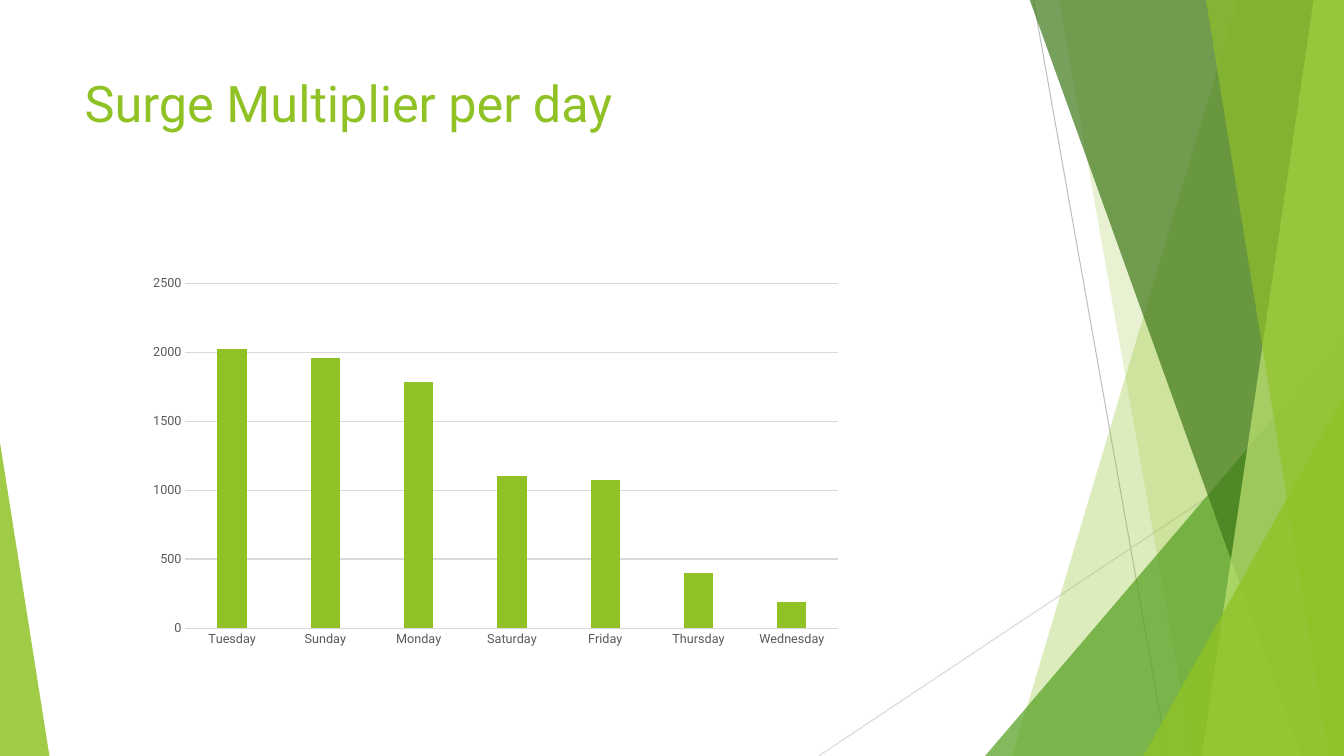
from pptx import Presentation
from pptx.chart.data import CategoryChartData
from pptx.dml.color import RGBColor
from pptx.enum.chart import XL_CHART_TYPE, XL_TICK_MARK
from pptx.enum.shapes import MSO_CONNECTOR, MSO_SHAPE
from pptx.enum.text import MSO_ANCHOR, MSO_AUTO_SIZE, PP_ALIGN
from pptx.oxml import parse_xml
from pptx.oxml.ns import nsdecls, qn
from pptx.util import Inches, Pt
from lxml.etree import SubElement

LIME = RGBColor(0x90, 0xC2, 0x26)
GREEN = RGBColor(0x54, 0xA0, 0x21)
DARK_GREEN = RGBColor(0x3F, 0x78, 0x19)
PALE_LIME = RGBColor(0xC0, 0xE4, 0x74)
GRAY = RGBColor(0xBF, 0xBF, 0xBF)
LIGHT_GRAY = RGBColor(0xD9, 0xD9, 0xD9)
TEXT_GRAY = RGBColor(0x59, 0x59, 0x59)
FONT = "Roboto"
WIDTH, HEIGHT, BAND_TOP = 13.33, 7.5, -0.01

TITLE = "Surge Multiplier per day"
MULTIPLIERS = {
    "Tuesday": 2020, "Sunday": 1960, "Monday": 1780, "Saturday": 1100,
    "Friday": 1070, "Thursday": 400, "Wednesday": 190,
}
PLOT_LAYOUT = {"x": 0.117, "y": 0.106, "w": 0.689, "h": 0.807}
RAYS = [((10.25, 0), (11.58, HEIGHT), GRAY), ((WIDTH, 4.03), (8.12, HEIGHT), LIGHT_GRAY)]
FACETS = [
    ("band", 12.28, 10.04, LIME, 30),
    ("band", 10.5, 11.83, LIME, 20),
    ("triangle", 9.77, 3.33, 3.56, 1, GREEN, 72),
    ("band", 10.21, 12.91, DARK_GREEN, 70),
    ("band", 13.03, 11.92, PALE_LIME, 70),
    ("band", 11.96, 13.18, LIME, 65),
    ("triangle", 11.34, 3.93, 1.99, 1, LIME, 80),
    ("triangle", 0, 4.39, 0.49, 0, LIME, 85),
]


def apply_format(target, values):
    for name, value in values.items():
        setattr(target, name, value)


def add_ray(slide, start, end, color):
    ray = slide.shapes.add_connector(
        MSO_CONNECTOR.STRAIGHT, *[Inches(value) for value in start + end])
    ray.line.color.rgb = color
    ray.line.width = Pt(0.75)
    SubElement(ray._element.spPr, qn("a:effectLst"))


def add_band(slide, top_left, bottom_left):
    builder = slide.shapes.build_freeform(Inches(top_left), Inches(BAND_TOP))
    corners = [(WIDTH, BAND_TOP), (WIDTH, HEIGHT), (bottom_left, HEIGHT)]
    builder.add_line_segments([(Inches(x), Inches(y)) for x, y in corners], close=True)
    return builder.convert_to_shape()


def add_triangle(slide, left, top, width, apex):
    triangle = slide.shapes.add_shape(
        MSO_SHAPE.ISOSCELES_TRIANGLE, Inches(left), Inches(top),
        Inches(width), Inches(HEIGHT - top))
    triangle.adjustments[0] = apex
    return triangle


def add_facet(slide, kind, *details):
    *geometry, color, opacity = details
    add_outline = {"band": add_band, "triangle": add_triangle}[kind]
    shape = add_outline(slide, *geometry)
    shape.shadow.inherit = False
    shape.line.fill.background()
    shape.fill.solid()
    shape.fill.fore_color.rgb = color
    color_element = shape._element.spPr.find(qn("a:solidFill"))[0]
    SubElement(color_element, qn("a:alpha"), val=str(opacity * 1000))


def add_title(slide):
    title = slide.shapes.title
    apply_format(title, {"left": Inches(0.74), "top": Inches(0.67),
                         "width": Inches(9.4), "height": Inches(1.44)})
    title.text_frame.text = TITLE
    apply_format(title.text_frame, {"vertical_anchor": MSO_ANCHOR.TOP, "word_wrap": True,
                                    "auto_size": MSO_AUTO_SIZE.NONE})
    paragraph = title.text_frame.paragraphs[0]
    paragraph.alignment = PP_ALIGN.LEFT
    font = paragraph.runs[0].font
    apply_format(font, {"name": FONT, "size": Pt(36)})
    font.color.rgb = LIME


def add_multiplier_chart(slide):
    data = CategoryChartData()
    data.categories = list(MULTIPLIERS)
    data.add_series("Series 1", list(MULTIPLIERS.values()))
    chart = slide.shapes.add_chart(
        XL_CHART_TYPE.COLUMN_CLUSTERED, Inches(0.74), Inches(2.36),
        Inches(9.4), Inches(4.24), data).chart
    apply_format(chart, {"has_legend": False, "has_title": False})
    apply_format(chart.font, {"name": FONT, "size": Pt(10)})
    plot = chart.plots[0]
    apply_format(plot, {"gap_width": 219, "overlap": -27, "vary_by_categories": False})
    bars = plot.series[0].format.fill
    bars.solid()
    bars.fore_color.rgb = LIME

    for axis in (chart.category_axis, chart.value_axis):
        apply_format(axis, {"major_tick_mark": XL_TICK_MARK.NONE,
                            "minor_tick_mark": XL_TICK_MARK.NONE})
        font = axis.tick_labels.font
        apply_format(font, {"name": FONT, "size": Pt(9)})
        font.color.rgb = TEXT_GRAY
    apply_format(chart.value_axis, {"minimum_scale": 0, "maximum_scale": 2500,
                                    "major_unit": 500, "has_major_gridlines": True})
    chart.value_axis.format.line.fill.background()
    for line in (chart.category_axis.format.line,
                 chart.value_axis.major_gridlines.format.line):
        line.color.rgb = LIGHT_GRAY
        line.width = Pt(0.75)

    plot_area = chart._chartSpace.chart.plotArea
    for layout in plot_area.findall(qn("c:layout")):
        plot_area.remove(layout)
    modes = '<c:layoutTarget val="inner"/><c:xMode val="edge"/><c:yMode val="edge"/>'
    sizes = "".join(f'<c:{key} val="{value}"/>' for key, value in PLOT_LAYOUT.items())
    plot_area.insert(0, parse_xml(
        f'<c:layout {nsdecls("c")}><c:manualLayout>{modes}{sizes}</c:manualLayout></c:layout>'))


presentation = Presentation()
presentation.slide_width = Inches(WIDTH)
presentation.slide_height = Inches(HEIGHT)
slide = presentation.slides.add_slide(presentation.slide_layouts[5])
for ray in RAYS:
    add_ray(slide, *ray)
for facet in FACETS:
    add_facet(slide, *facet)
add_title(slide)
add_multiplier_chart(slide)
presentation.save("out.pptx")
